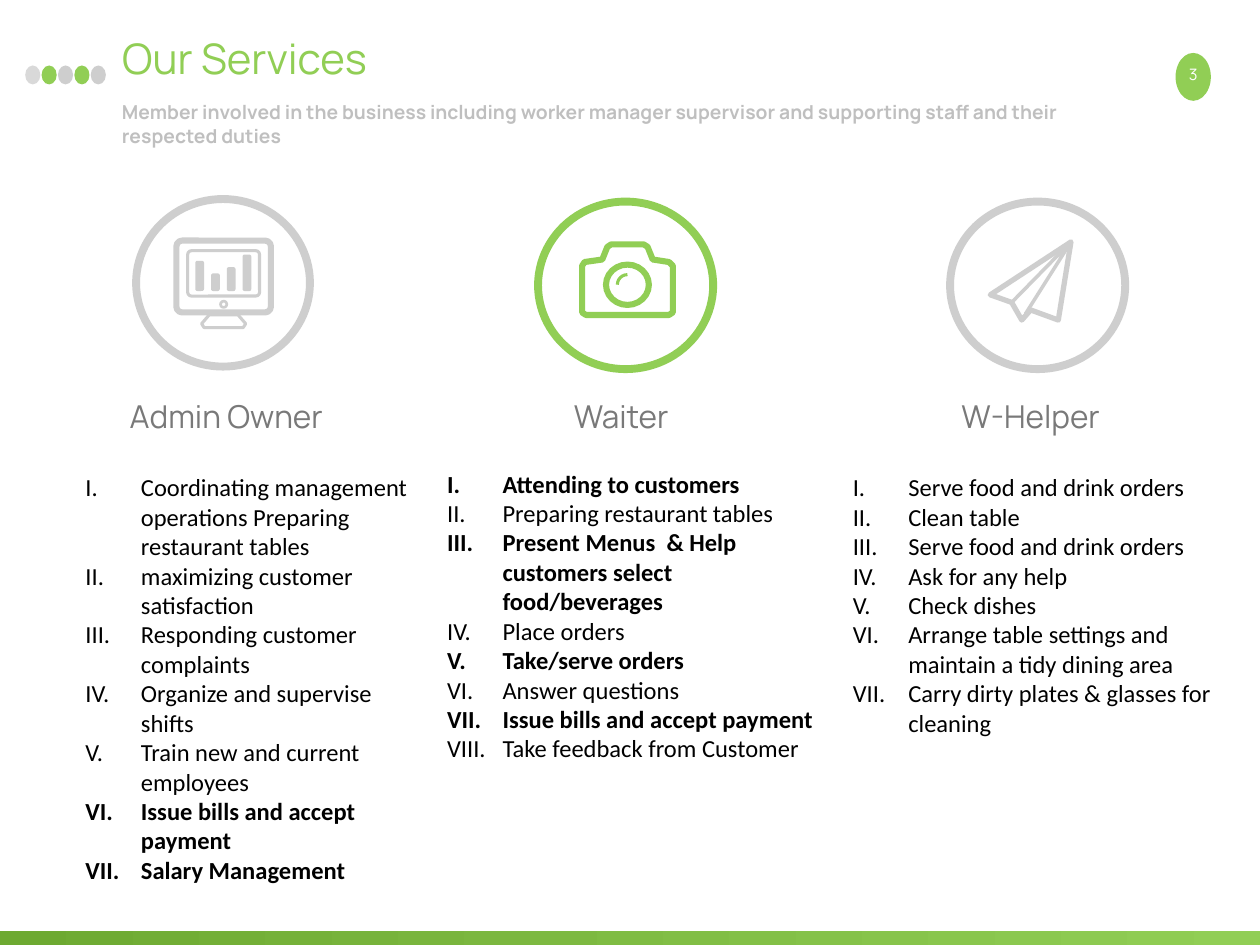
"""Build the "Our Services" slide with three staff roles and their duties."""
from lxml import etree
from pptx import Presentation
from pptx.dml.color import RGBColor
from pptx.enum.shapes import MSO_SHAPE
from pptx.enum.text import MSO_ANCHOR, MSO_AUTO_SIZE, PP_ALIGN
from pptx.oxml.ns import qn
from pptx.util import Inches, Pt

GREEN = RGBColor(0x91, 0xCE, 0x55)
DARK_GREEN = RGBColor(0x6D, 0xA9, 0x31)
SILVER = RGBColor(0xCE, 0xCE, 0xCE)
PALE = RGBColor(0xD9, 0xD9, 0xD9)
SUBTITLE_GRAY = RGBColor(0xBF, 0xBF, 0xBF)
ROLE_GRAY = RGBColor(0x79, 0x79, 0x79)
BLACK = RGBColor(0, 0, 0)
WHITE = RGBColor(255, 255, 255)
OVAL, RECTANGLE, ROUNDED, ARC = (
    MSO_SHAPE.OVAL, MSO_SHAPE.RECTANGLE, MSO_SHAPE.ROUNDED_RECTANGLE, MSO_SHAPE.ARC)
LEFT, CENTER = PP_ALIGN.LEFT, PP_ALIGN.CENTER
TOP, MIDDLE = MSO_ANCHOR.TOP, MSO_ANCHOR.MIDDLE
NO_AUTOFIT = MSO_AUTO_SIZE.NONE


def write(box, place, lines, size, color, font="Manrope", align=LEFT, anchor=TOP):
    box.left, box.top, box.width, box.height = [Inches(value) for value in place]
    frame = box.text_frame
    frame.text = "\n".join(lines)
    frame.word_wrap = True
    frame.auto_size = NO_AUTOFIT
    frame.vertical_anchor = anchor
    for para in frame.paragraphs:
        para.alignment = align
        for span in para.runs:
            span.font.name = font
            span.font.size = Pt(size)
            span.font.color.rgb = color
    return frame.paragraphs


def paint(shape, color, line_width=0):
    shape.shadow.inherit = False
    if line_width:
        shape.fill.background()
        shape.line.color.rgb = color
        shape.line.width = Pt(line_width)
        etree.SubElement(shape.element.spPr.find(qn("a:ln")), qn("a:round"))
    else:
        shape.fill.solid()
        shape.fill.fore_color.rgb = color
        shape.line.fill.background()


deck = Presentation()
deck.slide_width, deck.slide_height = Inches(10), Inches(7.5)
page = deck.slides.add_slide(deck.slide_layouts[5])
shapes = page.shapes

for index, color in enumerate((PALE, GREEN, SILVER, GREEN, SILVER)):
    dot = shapes.add_shape(OVAL, Inches(0.2 + 0.13 * index), Inches(0.52), Inches(0.12), Inches(0.15))
    paint(dot, color)

badge = shapes.add_shape(OVAL, Inches(9.33), Inches(0.42), Inches(0.28), Inches(0.38))
paint(badge, GREEN)

footer = shapes.add_shape(RECTANGLE, 0, Inches(7.39), Inches(10), Inches(0.11))
paint(footer, GREEN)
footer.fill.gradient()
footer.fill.gradient_angle = 0
for stop, color in zip(footer.fill.gradient_stops, (DARK_GREEN, GREEN)):
    stop.color.rgb = color

write(shapes.title, (0.87, 0.21, 7.97, 0.8), ["Our Services"], 24, GREEN)
subtitle = write(
    shapes.add_textbox(0, 0, 0, 0), (0.87, 0.75, 7.97, 0.43),
    ["Member involved in the business including worker manager supervisor "
     "and supporting staff and their respected duties"], 11, SUBTITLE_GRAY)
subtitle[0].runs[0].font.bold = True
write(shapes.add_textbox(0, 0, 0, 0), (9.25, 0.39, 0.44, 0.4), ["3"], 9, WHITE,
      align=CENTER, anchor=MIDDLE)

icon_parts = [
    (OVAL, (1.08, 1.58, 1.38, 1.33), SILVER, 4.5),
    (OVAL, (4.27, 1.6, 1.39, 1.33), GREEN, 4.5),
    (OVAL, (7.54, 1.6, 1.39, 1.33), SILVER, 4.5),
    (ROUNDED, (1.4, 1.91, 0.75, 0.57), SILVER, 3.5),
    (ROUNDED, (1.49, 1.99, 0.57, 0.36), SILVER, 1.75),
    (OVAL, (1.75, 2.39, 0.05, 0.05), SILVER, 1.5),
    (OVAL, (4.81, 2.1, 0.34, 0.32), GREEN, 3.5),
    (ARC, (4.9, 2.18, 0.16, 0.16), GREEN, 1.75),
]
for index, height in enumerate((0.24, 0.14, 0.19, 0.29)):
    icon_parts.append((ROUNDED, (1.55 + 0.125 * index, 2.31 - height, 0.07, height), SILVER, 0))
for kind, place, color, line_width in icon_parts:
    part = shapes.add_shape(kind, *[Inches(value) for value in place])
    paint(part, color, line_width)
    if kind == ROUNDED:
        part.adjustments[0] = 0.25 if line_width == 0 else 0.08
    elif kind == ARC:
        part.adjustments[0], part.adjustments[1] = 108, 162

monitor_stand = [(1.66, 2.5), (1.6, 2.57), (1.62, 2.6), (1.93, 2.6), (1.95, 2.57), (1.89, 2.5)]
camera_body = [
    (4.64, 2.08), (4.78, 2.06), (4.82, 1.96), (4.85, 1.94), (5.11, 1.94), (5.14, 1.96),
    (5.18, 2.06), (5.31, 2.08), (5.34, 2.11), (5.34, 2.48), (5.31, 2.5), (4.65, 2.5),
    (4.62, 2.48), (4.62, 2.11)]
plane_outline = [(8.5, 1.92), (7.86, 2.34), (8.03, 2.4), (8.11, 2.54), (8.18, 2.46), (8.4, 2.54)]
plane_folds = [(8.04, 2.39), (8.5, 1.92), (8.14, 2.49)]
for points, color, line_width, closed in (
        (monitor_stand, SILVER, 1.75, True), (camera_body, GREEN, 3.5, True),
        (plane_outline, SILVER, 3, True), (plane_folds, SILVER, 2, False)):
    corners = [(Inches(x), Inches(y)) for x, y in points]
    builder = shapes.build_freeform(*corners[0])
    builder.add_line_segments(corners[1:], close=closed)
    paint(builder.convert_to_shape(), color, line_width)

roles = [
    ("Admin Owner ", 0.92, (0.58, 3.7, 2.88, 3.4), (5, 6), [
        "Coordinating management operations Preparing restaurant tables",
        "maximizing customer satisfaction",
        "Responding customer complaints",
        "Organize and supervise shifts",
        "Train new and current employees",
        "Issue bills and accept payment",
        "Salary Management"]),
    ("Waiter ", 4.08, (3.45, 3.67, 3.22, 2.52), (0, 2, 4, 6), [
        "Attending to customers",
        "Preparing restaurant tables",
        "Present Menus  & Help customers select food/beverages",
        "Place orders",
        "Take/serve orders",
        "Answer questions",
        "Issue bills and accept payment",
        "Take feedback from Customer"]),
    ("W-Helper ", 7.33, (6.67, 3.7, 3.22, 2.22), (), [
        "Serve food and drink orders",
        "Clean table",
        "Serve food and drink orders",
        "Ask for any help",
        "Check dishes",
        "Arrange table settings and maintain a tidy dining area",
        "Carry dirty plates & glasses for cleaning"]),
]
for role, role_left, duties_place, bold_duties, duties in roles:
    write(shapes.add_textbox(0, 0, 0, 0), (role_left, 3.1, 1.75, 0.4), [role], 18, ROLE_GRAY,
          align=CENTER)
    paras = write(shapes.add_textbox(0, 0, 0, 0), duties_place, duties, 14, BLACK, font="Calibri")
    for index, para in enumerate(paras):
        para.runs[0].font.bold = index in bold_duties
        properties = para._p.get_or_add_pPr()
        properties.set("marL", str(Inches(0.44)))
        properties.set("indent", str(-Inches(0.44)))
        etree.SubElement(properties, qn("a:buFont"), typeface="+mj-lt")
        etree.SubElement(properties, qn("a:buAutoNum"), type="romanUcPeriod")

deck.save("out.pptx")
